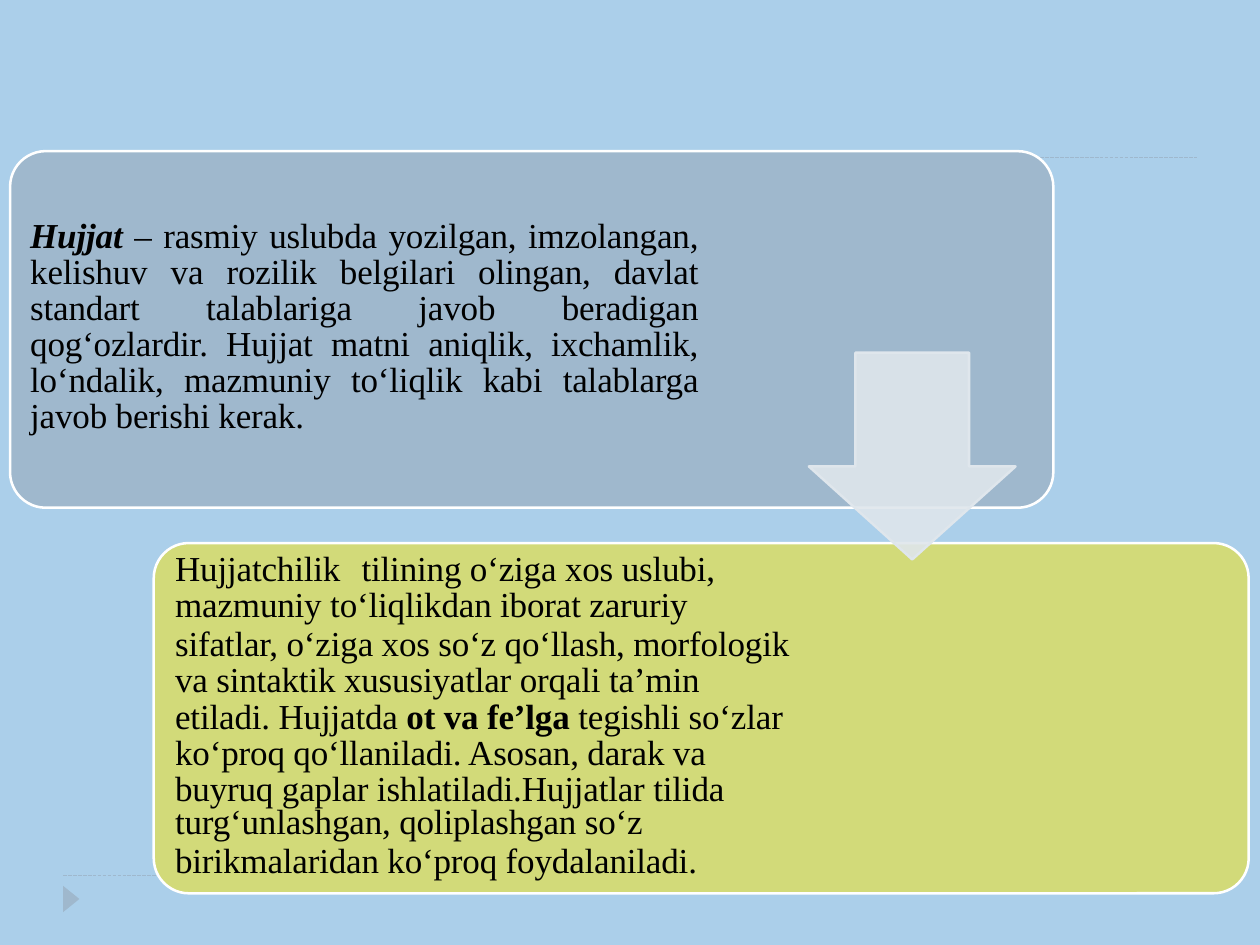
from dataclasses import dataclass

from lxml.etree import SubElement
from pptx import Presentation
from pptx.dml.color import RGBColor
from pptx.enum.dml import MSO_LINE
from pptx.enum.shapes import MSO_CONNECTOR, MSO_SHAPE
from pptx.enum.text import PP_ALIGN
from pptx.oxml.ns import qn
from pptx.util import Inches, Pt


@dataclass(frozen=True)
class Theme:
    sky: str = "006FC0"
    steel: str = "9FB8CD"
    lime: str = "D2DA79"
    mist: str = "DFE6EC"
    white: str = "FFFFFF"
    ink: str = "000000"
    font: str = "Times New Roman"
    body: float = 20
    outline: float = 1.44
    rule: float = 0.72
    tracking: str = "-10"


@dataclass(frozen=True)
class Box:
    left: float
    top: float
    width: float
    height: float

    def lengths(self) -> list:
        return [Inches(v) for v in (self.left, self.top, self.width, self.height)]


@dataclass(frozen=True)
class Figure:
    kind: MSO_SHAPE
    box: Box
    fill: str
    line: str | None = None
    opacity: int = 100
    adjustments: tuple = ()
    rotation: float = 0


@dataclass(frozen=True)
class Words:
    text: str
    bold: bool = False
    italic: bool = False


@dataclass(frozen=True)
class Passage:
    words: tuple
    spacing: float | Pt
    before: float = 0
    align: PP_ALIGN = PP_ALIGN.LEFT
    tab: float | None = None


THEME = Theme()


def draw_figure(slide, figure: Figure) -> None:
    shape = slide.shapes.add_shape(figure.kind, *figure.box.lengths())
    shape.shadow.inherit = False
    shape.rotation = figure.rotation
    for index, value in enumerate(figure.adjustments):
        shape.adjustments[index] = value
    shape.fill.solid()
    shape.fill.fore_color.rgb = RGBColor.from_string(figure.fill)
    if figure.opacity < 100:
        color = shape._element.spPr.find(qn("a:solidFill"))[0]
        SubElement(color, qn("a:alpha")).set("val", str(figure.opacity * 1000))
    if figure.line:
        shape.line.color.rgb = RGBColor.from_string(figure.line)
        shape.line.width = Pt(THEME.outline)
    else:
        shape.line.fill.background()


def draw_rule(slide, y: float) -> None:
    rule = slide.shapes.add_connector(
        MSO_CONNECTOR.STRAIGHT, Inches(0.5), Inches(y), Inches(9.5), Inches(y))
    rule.line.color.rgb = RGBColor.from_string(THEME.steel)
    rule.line.width = Pt(THEME.rule)
    rule.line.dash_style = MSO_LINE.SQUARE_DOT
    SubElement(rule._element.spPr, qn("a:effectLst"))


def write_passages(slide, box: Box, inset_top: float, passages: tuple) -> None:
    frame = slide.shapes.add_textbox(*box.lengths()).text_frame
    frame.word_wrap = True
    frame.margin_left = Inches(0.01)
    frame.margin_top = Inches(inset_top)
    frame.margin_right = frame.margin_bottom = 0
    for index, passage in enumerate(passages):
        paragraph = frame.add_paragraph() if index else frame.paragraphs[0]
        properties = paragraph._p.get_or_add_pPr()
        if passage.tab:
            stop = SubElement(SubElement(properties, qn("a:tabLst")), qn("a:tab"))
            stop.set("pos", str(Inches(passage.tab)))
            stop.set("algn", "l")
        paragraph.alignment = passage.align
        paragraph.line_spacing = passage.spacing
        paragraph.space_before = Pt(passage.before)
        paragraph.font.name = THEME.font
        paragraph.font.size = Pt(THEME.body)
        paragraph.font.color.rgb = RGBColor.from_string(THEME.ink)
        properties.find(qn("a:defRPr")).set("spc", THEME.tracking)
        for words in passage.words:
            for part, line in enumerate(words.text.split("\n")):
                if part:
                    paragraph.add_line_break()
                run = paragraph.add_run()
                run.text = line
                if words.bold:
                    run.font.bold = True
                if words.italic:
                    run.font.italic = True


DEFINITION = (
    Passage((
        Words("Hujjat ", bold=True, italic=True),
        Words("– rasmiy uslubda yozilgan, imzolangan, kelishuv va rozilik belgilari "
              "olingan, davlat standart talablariga javob beradigan qog‘ozlardir. "
              "Hujjat matni aniqlik, ixchamlik, lo‘ndalik, mazmuniy to‘liqlik kabi "
              "talablarga javob berishi kerak."),
    ), 0.86, 4.2, PP_ALIGN.JUSTIFY),
)

LANGUAGE = (
    Passage((Words("Hujjatchilik\ttilining o‘ziga xos uslubi,"),), Pt(22.4), 0.9, tab=1.48),
    Passage((Words("mazmuniy to‘liqlikdan iborat zaruriy"),), Pt(20.8)),
    Passage((
        Words("sifatlar, o‘ziga xos so‘z qo‘llash, morfologik\n"
              "va sintaktik xususiyatlar orqali ta’min\netiladi. Hujjatda "),
        Words("ot va fe’lga ", bold=True),
        Words("tegishli so‘zlar\nko‘proq qo‘llaniladi. Asosan, darak va\n"
              "buyruq gaplar ishlatiladi.Hujjatlar tilida"),
    ), 0.86, 1.7),
    Passage((Words("turg‘unlashgan, qoliplashgan so‘z"),), Pt(18.9)),
    Passage((Words("birikmalaridan ko‘proq foydalaniladi."),), Pt(22.3)),
)

BACKDROP = Figure(MSO_SHAPE.RECTANGLE, Box(0, 0, 10, 7.5), THEME.sky, opacity=33)
MARKER = Figure(MSO_SHAPE.ISOSCELES_TRIANGLE, Box(0.46, 7.07, 0.21, 0.13),
                THEME.steel, rotation=90)
DEFINITION_CARD = Figure(MSO_SHAPE.ROUNDED_RECTANGLE, Box(0.08, 1.2, 8.28, 2.83),
                         THEME.steel, THEME.white, adjustments=(0.1,))
LANGUAGE_CARD = Figure(MSO_SHAPE.ROUNDED_RECTANGLE, Box(1.22, 4.31, 8.69, 2.78),
                       THEME.lime, THEME.white, adjustments=(0.1,))
ARROW = Figure(MSO_SHAPE.DOWN_ARROW, Box(6.42, 2.8, 1.64, 1.64), THEME.mist,
               THEME.mist, 90, (0.55, 0.45))


def build() -> None:
    deck = Presentation()
    deck.slide_width, deck.slide_height = Inches(10), Inches(7.5)
    slide = deck.slides.add_slide(deck.slide_layouts[6])
    draw_figure(slide, BACKDROP)
    for y in (6.95, 1.25):
        draw_rule(slide, y)
    draw_figure(slide, MARKER)
    draw_figure(slide, DEFINITION_CARD)
    write_passages(slide, Box(0.23, 1.68, 5.31, 1.8), 0.06, DEFINITION)
    draw_figure(slide, LANGUAGE_CARD)
    write_passages(slide, Box(1.38, 4.35, 4.95, 2.66), 0.01, LANGUAGE)
    draw_figure(slide, ARROW)
    deck.save("out.pptx")


build()
